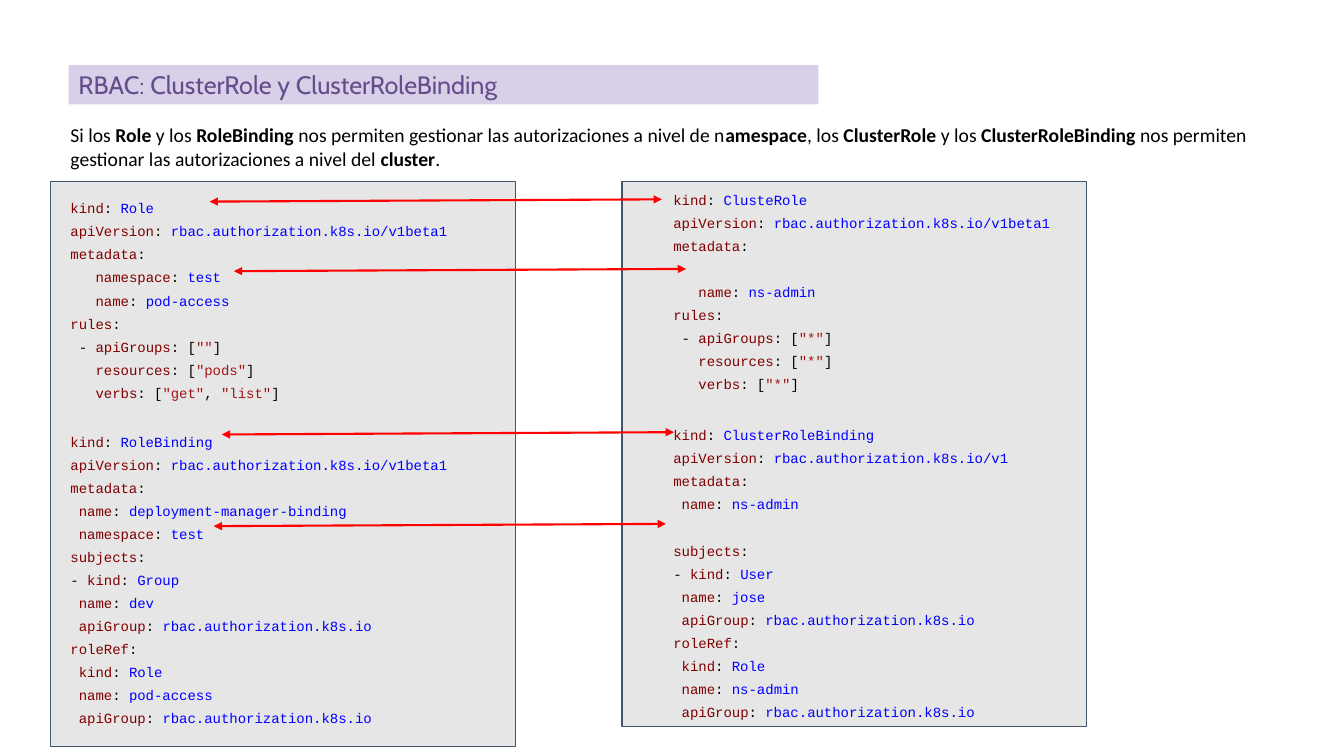
from lxml import etree
from pptx import Presentation
from pptx import util as u
from pptx.dml.color import RGBColor
from pptx.enum import shapes, text
from pptx.oxml.ns import qn

WIDTH, HEIGHT = u.Inches(13.33), u.Inches(7.5)
COLORS = {
    "panel": "E7E6E6", "border": "44546A", "banner": "D8D0E8", "title": "654D8C",
    "plain": "000000", "key": "800000", "value": "0000FF", "string": "A31515",
    "arrow": "FF0000",
}
INTRO = (
    "Si los **Role** y los **RoleBinding** nos permiten gestionar las autorizaciones "
    "a nivel de n**amespace**, los **ClusterRole** y los **ClusterRoleBinding** nos "
    "permiten gestionar las autorizaciones a nivel del **cluster**."
)
ROLE_BLOCKS = [
    (17, """kind: Role
apiVersion: rbac.authorization.k8s.io/v1beta1
metadata:
   namespace: test
   name: pod-access
rules:
 - apiGroups: [""]
   resources: ["pods"]
   verbs: ["get", "list"]"""),
    (18.6, """kind: RoleBinding
apiVersion: rbac.authorization.k8s.io/v1beta1
metadata:
 name: deployment-manager-binding
 namespace: test
subjects:
- kind: Group
 name: dev
 apiGroup: rbac.authorization.k8s.io
roleRef:
 kind: Role
 name: pod-access
 apiGroup: rbac.authorization.k8s.io"""),
]
CLUSTER_BLOCKS = [
    (0, """kind: ClusteRole
apiVersion: rbac.authorization.k8s.io/v1beta1
metadata:"""),
    (16.5, """   name: ns-admin
rules:
 - apiGroups: ["*"]
   resources: ["*"]
   verbs: ["*"]"""),
    (20, """kind: ClusterRoleBinding
apiVersion: rbac.authorization.k8s.io/v1
metadata:
 name: ns-admin"""),
    (16.5, """subjects:
- kind: User
 name: jose
 apiGroup: rbac.authorization.k8s.io
roleRef:
 kind: Role
 name: ns-admin
 apiGroup: rbac.authorization.k8s.io"""),
]
ARROW_STARTS = [(15.6, 26.67), (17.4, 35.87), (16.5, 57.47), (15.9, 69.6)]
ARROW_RUN, ARROW_RISE = 33.65, 0.3


def color(name):
    return RGBColor.from_string(COLORS[name])


def place(box):
    return [int(side * share / 100) for side, share in zip((WIDTH, HEIGHT) * 2, box)]


def add_run(paragraph, words, font, size, color_name, bold=False):
    run = paragraph.add_run()
    run.text = words
    run.font.name, run.font.size, run.font.bold = font, u.Pt(size), bold
    run.font.color.rgb = color(color_name)


def add_rectangle(slide, box, fill, border=None):
    shape = slide.shapes.add_shape(shapes.MSO_SHAPE.RECTANGLE, *place(box))
    shape.shadow.inherit = False
    shape.fill.solid()
    shape.fill.fore_color.rgb = color(fill)
    if border:
        shape.line.color.rgb = color(border)
        shape.line.width = u.Pt(0.75)
    else:
        shape.line.fill.background()
    return shape


def add_text_frame(slide, box):
    frame = slide.shapes.add_textbox(*place(box)).text_frame
    frame.word_wrap = True
    return frame


def add_title(slide, box):
    frame = add_rectangle(slide, box, "banner").text_frame
    frame.vertical_anchor = text.MSO_ANCHOR.MIDDLE
    paragraph = frame.paragraphs[0]
    paragraph.alignment = text.PP_ALIGN.LEFT
    add_run(paragraph, "RBAC: ClusterRole y ClusterRoleBinding", "Cabin", 18, "title")


def code_tokens(line):
    head, colon, value = line.partition(":")
    key = head.lstrip(" -")
    yield head[:len(head) - len(key)], "plain"
    yield key, "key"
    if '"' in value:
        for index, piece in enumerate((colon + value).split('"')):
            yield (f'"{piece}"', "string") if index % 2 else (piece, "plain")
    else:
        yield (colon + " " if value else colon), "plain"
        yield value.strip(), "value"


def add_code(frame, blocks):
    for gap, block in blocks:
        for index, line in enumerate(block.splitlines()):
            first = frame.paragraphs[0]
            paragraph = frame.add_paragraph() if first.runs else first
            paragraph.line_spacing = 1.37
            paragraph.space_before = u.Pt(0 if index else gap)
            for words, color_name in code_tokens(line):
                if words:
                    add_run(paragraph, words, "Courier New", 10, color_name)


def add_role_column(slide, box):
    left, top, width, height = box
    add_rectangle(slide, box, "panel", "border")
    frame = add_text_frame(slide, (left + 0.75, top - 8.4, 94.38, 7.6))
    for index, words in enumerate(INTRO.split("**")):
        add_run(frame.paragraphs[0], words, "Calibri", 14, "plain", index % 2 == 1)
    add_code(frame, ROLE_BLOCKS)


def add_cluster_column(slide, box):
    left, top, width, height = box
    add_rectangle(slide, box, "panel", "border")
    frame = add_text_frame(slide, (left + 3.08, top - 0.8, 39.75, 32.67))
    frame.margin_top = frame.margin_bottom = u.Inches(0.1)
    add_code(frame, CLUSTER_BLOCKS)


def add_arrow(slide, box):
    left, top, width, rise = place(box)
    arrow = slide.shapes.add_connector(
        shapes.MSO_CONNECTOR.STRAIGHT, left, top, left + width, top - rise)
    arrow.line.color.rgb = color("arrow")
    arrow.line.width = u.Pt(1.5)
    properties = arrow.line._get_or_add_ln()
    for end in ("a:headEnd", "a:tailEnd"):
        etree.SubElement(properties, qn(end), type="triangle")
    etree.SubElement(arrow._element.spPr, qn("a:effectLst"))


def main():
    presentation = Presentation()
    presentation.slide_width, presentation.slide_height = WIDTH, HEIGHT
    slide = presentation.slides.add_slide(presentation.slide_layouts[6])
    add_role_column(slide, (3.75, 24, 34.58, 74.8))
    add_title(slide, (5.1, 8.6, 55.8, 5.2))
    add_cluster_column(slide, (46.28, 24, 34.58, 72.13))
    for left, top in ARROW_STARTS:
        add_arrow(slide, (left, top, ARROW_RUN, ARROW_RISE))
    presentation.save("out.pptx")


if __name__ == "__main__":
    main()
